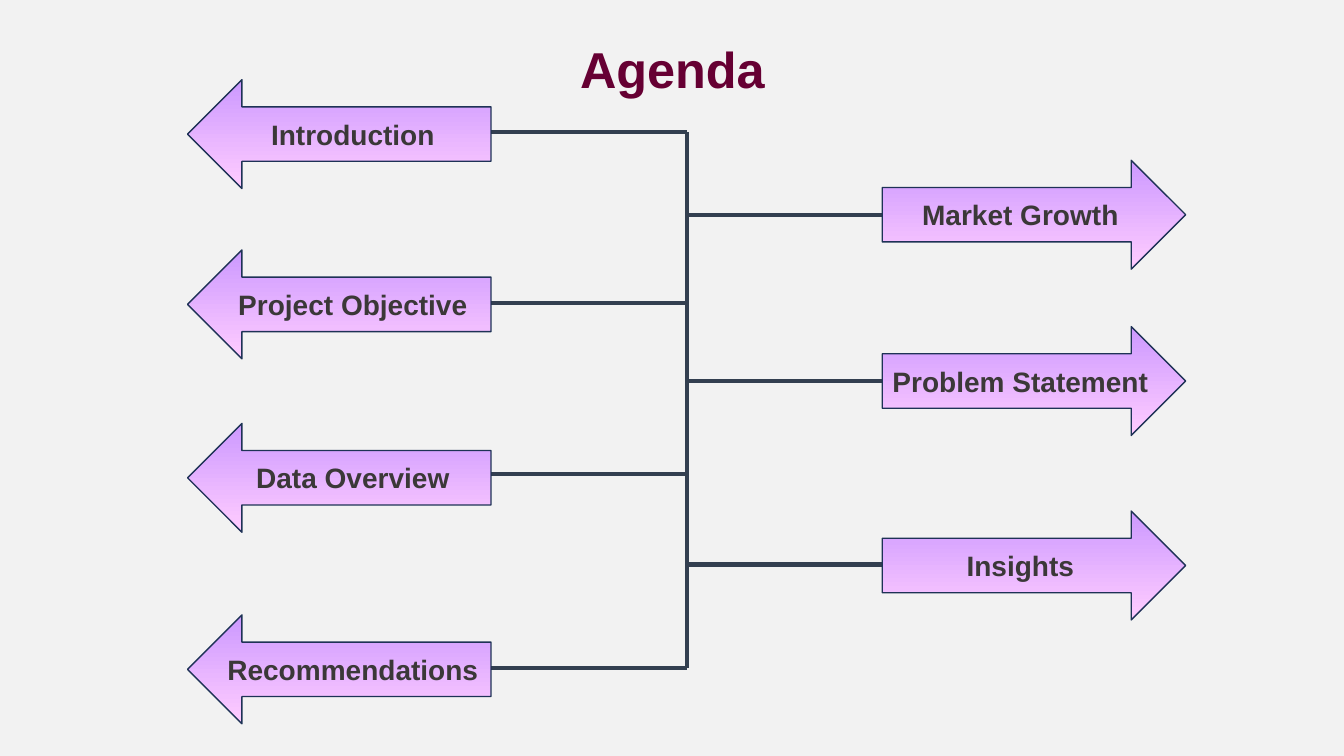
from dataclasses import dataclass

from lxml.etree import SubElement
from pptx import Presentation
from pptx.dml.color import RGBColor
from pptx.enum.shapes import MSO_CONNECTOR as Connector, MSO_SHAPE as Preset
from pptx.enum.text import MSO_ANCHOR as Anchor, MSO_AUTO_SIZE as AutoSize, PP_ALIGN as Align
from pptx.oxml.ns import qn
from pptx.shapes.shapetree import GroupShapes
from pptx.slide import Slide
from pptx.text.text import TextFrame
from pptx.util import Emu, Pt

EMU_PER_PX = 9144


@dataclass(frozen=True)
class Theme:
    font: str = "Arial"
    background: RGBColor = RGBColor(0xF2, 0xF2, 0xF2)
    title: RGBColor = RGBColor(0x66, 0x00, 0x33)
    label: RGBColor = RGBColor(0x3B, 0x38, 0x38)
    branch: RGBColor = RGBColor(0x33, 0x3F, 0x50)
    outline: RGBColor = RGBColor(0x1E, 0x32, 0x56)
    gradient_top: RGBColor = RGBColor(0xCC, 0x99, 0xFF)
    gradient_bottom: RGBColor = RGBColor(0xFF, 0xCC, 0xFF)
    title_size: Pt = Pt(36)
    label_size: Pt = Pt(20)
    branch_width: Pt = Pt(3)
    outline_width: Pt = Pt(1)


@dataclass(frozen=True)
class Side:
    preset: Preset
    arrow_left: int
    branch_x: int


@dataclass(frozen=True)
class AgendaItem:
    text: str
    side: Side
    arrow_top: int
    branch_y: int


THEME = Theme()
TRUNK_X = 681
ARROW_WIDTH, ARROW_HEIGHT = 301, 108
LEFT = Side(Preset.LEFT_ARROW, 186, 486)
RIGHT = Side(Preset.RIGHT_ARROW, 875, 875)
ITEMS = [
    AgendaItem("Introduction", LEFT, 79, 131),
    AgendaItem("Market Growth", RIGHT, 159, 213),
    AgendaItem("Project Objective", LEFT, 248, 301),
    AgendaItem("Problem Statement", RIGHT, 324, 378),
    AgendaItem("Data Overview", LEFT, 420, 470),
    AgendaItem("Insights", RIGHT, 507, 560),
    AgendaItem("Recommendations", LEFT, 610, 663),
]


def px(value: int) -> Emu:
    return Emu(value * EMU_PER_PX)


def write_text(frame: TextFrame, text: str, size: Pt, color: RGBColor) -> None:
    frame.word_wrap = True
    paragraph = frame.paragraphs[0]
    paragraph.text = text
    paragraph.alignment = Align.CENTER
    paragraph.font.name = THEME.font
    paragraph.font.size = size
    paragraph.font.bold = True
    paragraph.font.color.rgb = color


def add_title(slide: Slide) -> None:
    title = slide.shapes.add_textbox(px(517), px(33), px(300), px(71))
    write_text(title.text_frame, "Agenda", THEME.title_size, THEME.title)
    title.text_frame.auto_size = AutoSize.SHAPE_TO_FIT_TEXT


def add_line(shapes: GroupShapes, x1: int, y1: int, x2: int, y2: int) -> None:
    line = shapes.add_connector(Connector.STRAIGHT, px(x1), px(y1), px(x2), px(y2))
    line.line.color.rgb = THEME.branch
    line.line.width = THEME.branch_width
    SubElement(line._element.spPr, qn("a:effectLst"))


def add_arrow(shapes: GroupShapes, item: AgendaItem) -> None:
    arrow = shapes.add_shape(
        item.side.preset, px(item.side.arrow_left), px(item.arrow_top), px(ARROW_WIDTH), px(ARROW_HEIGHT)
    )
    arrow.shadow.inherit = False
    arrow.fill.gradient()
    arrow.fill.gradient_angle = 270
    top_stop, bottom_stop = arrow.fill.gradient_stops
    top_stop.position, bottom_stop.position = 0, 1
    top_stop.color.rgb = THEME.gradient_top
    bottom_stop.color.rgb = THEME.gradient_bottom
    arrow.line.color.rgb = THEME.outline
    arrow.line.width = THEME.outline_width
    arrow.text_frame.vertical_anchor = Anchor.MIDDLE
    write_text(arrow.text_frame, item.text, THEME.label_size, THEME.label)


def main() -> None:
    presentation = Presentation()
    presentation.slide_width, presentation.slide_height = px(1333), px(750)
    slide = presentation.slides.add_slide(presentation.slide_layouts[6])
    slide.background.fill.solid()
    slide.background.fill.fore_color.rgb = THEME.background
    add_title(slide)

    diagram = slide.shapes.add_group_shape().shapes
    add_line(diagram, TRUNK_X, ITEMS[0].branch_y, TRUNK_X, ITEMS[-1].branch_y)
    for item in ITEMS:
        start, end = sorted((item.side.branch_x, TRUNK_X))
        add_line(diagram, start, item.branch_y, end, item.branch_y)
    for item in ITEMS:
        add_arrow(diagram, item)
    presentation.save("out.pptx")


if __name__ == "__main__":
    main()
